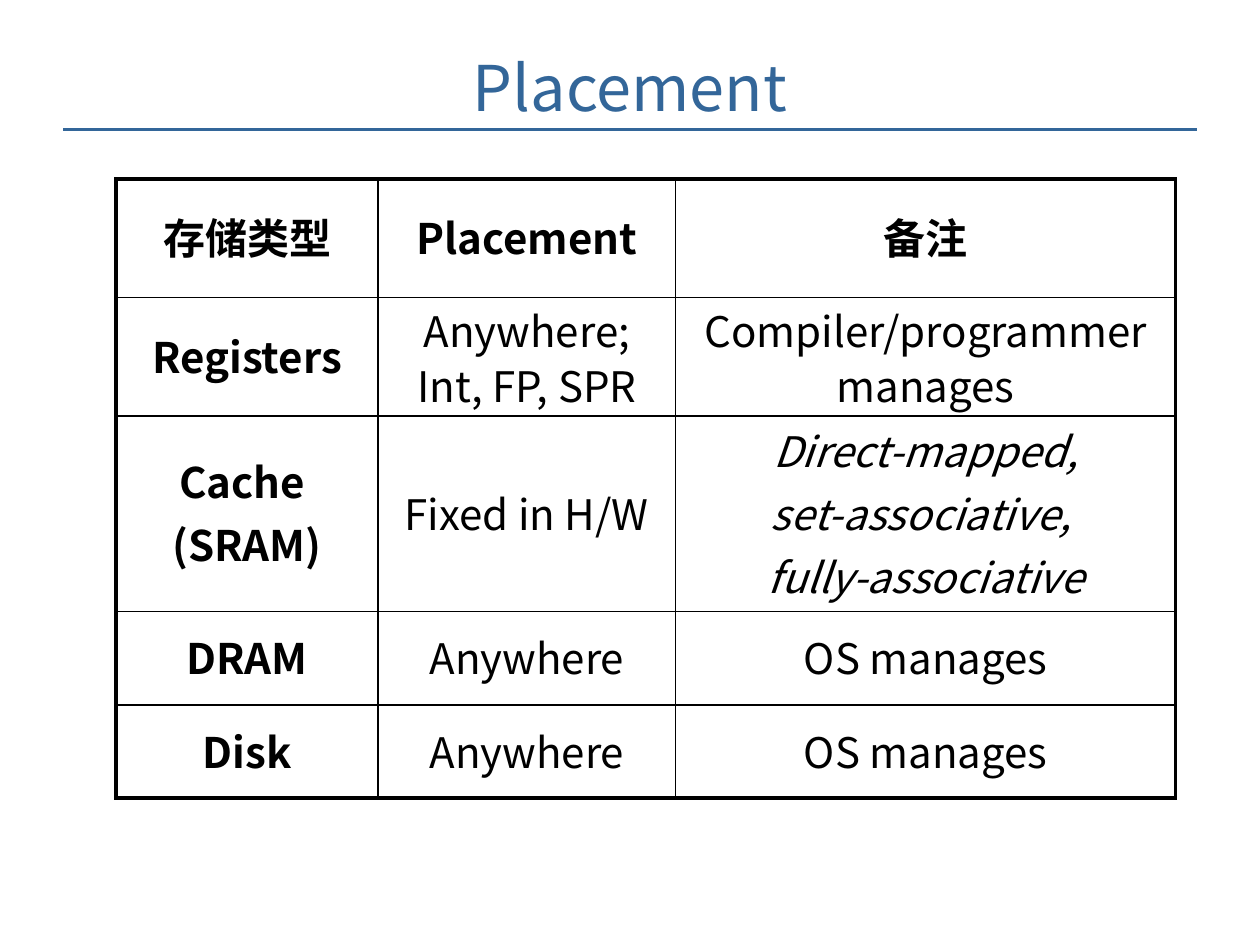
"""Build the Placement slide: a ruled title above a table of storage types."""
from dataclasses import dataclass

import pptx
import pptx.dml.color
import pptx.enum.shapes
import pptx.enum.text
import pptx.oxml
import pptx.oxml.ns
import pptx.util
from pptx.util import Cm

FONT = "Noto Sans CJK SC"
BLUE, BLACK = "336699", "000000"
THIN, THICK = 1, 2.25
COL_WIDTHS = (5.28, 6.0, 10.08)
ROW_HEIGHTS = (2.39, 2.39, 3.94, 1.88, 1.88)


@dataclass
class Storage:
    kind: str
    placement: str
    remark: str
    header: bool = False
    italic_remark: bool = False


ROWS = [
    Storage("存储类型", "Placement", "备注", header=True),
    Storage("Registers", "Anywhere; Int, FP, SPR", "Compiler/programmer manages"),
    Storage("Cache \n(SRAM)", "Fixed in H/W",
            "Direct-mapped,\nset-associative, \nfully-associative", italic_remark=True),
    Storage("DRAM", "Anywhere", "OS manages"),
    Storage("Disk", "Anywhere", "OS manages"),
]


def rgb(value: str) -> pptx.dml.color.RGBColor:
    return pptx.dml.color.RGBColor.from_string(value)


def write(tf, text: str, *, size: float = 24, color: str = BLACK, bold: bool = False,
          italic: bool = False, spacing: float = 0.9, before: float = 4.8) -> None:
    tf.word_wrap = True
    for i, line in enumerate(text.split("\n")):
        p = tf.add_paragraph() if i else tf.paragraphs[0]
        p.alignment = pptx.enum.text.PP_ALIGN.CENTER
        p.line_spacing = spacing
        p.space_before = pptx.util.Pt(before if i else 0)
        r = p.add_run()
        r.text = line
        r.font.name = FONT
        r.font.size = pptx.util.Pt(size)
        r.font.bold, r.font.italic = bold, italic
        r.font.color.rgb = rgb(color)
        ea = pptx.oxml.parse_xml(f'<a:ea {pptx.oxml.ns.nsdecls("a")} typeface="{FONT}"/>')
        r.font._element.find(pptx.oxml.ns.qn("a:latin")).addnext(ea)


def set_borders(cell, left: float, right: float, top: float, bottom: float) -> None:
    tc_pr = cell._tc.get_or_add_tcPr()
    for i, (side, width) in enumerate(zip("LRTB", (left, right, top, bottom))):
        tc_pr.insert(i, pptx.oxml.parse_xml(
            f'<a:ln{side} {pptx.oxml.ns.nsdecls("a")} w="{pptx.util.Pt(width)}">'
            f'<a:solidFill><a:srgbClr val="{BLACK}"/></a:solidFill></a:ln{side}>'))


def add_title(s, text: str) -> None:
    line = s.shapes.add_connector(pptx.enum.shapes.MSO_CONNECTOR.STRAIGHT,
                                  Cm(1.27), Cm(2.61), Cm(24.13), Cm(2.61))
    line.line.color.rgb = rgb(BLUE)
    line.line.width = pptx.util.Pt(2)
    line._element.spPr.append(
        pptx.oxml.parse_xml(f'<a:effectLst {pptx.oxml.ns.nsdecls("a")}/>'))
    sp = s.shapes.add_textbox(Cm(1.27), Cm(0.64), Cm(22.86), Cm(2.21))
    sp.text_frame.vertical_anchor = pptx.enum.text.MSO_ANCHOR.MIDDLE
    write(sp.text_frame, text, size=36, color=BLUE, spacing=1.0)


def add_storage_table(s, rows: list[Storage]) -> None:
    last_row, last_col = len(rows) - 1, len(COL_WIDTHS) - 1
    table = s.shapes.add_table(len(rows), len(COL_WIDTHS), Cm(2.34), Cm(3.61),
                               Cm(sum(COL_WIDTHS)), Cm(sum(ROW_HEIGHTS))).table
    table.first_row = table.horz_banding = False
    for col, width in zip(table.columns, COL_WIDTHS):
        col.width = Cm(width)
    for i, (storage, height) in enumerate(zip(rows, ROW_HEIGHTS)):
        table.rows[i].height = Cm(height)
        for j, text in enumerate((storage.kind, storage.placement, storage.remark)):
            cell = table.cell(i, j)
            cell.vertical_anchor = pptx.enum.text.MSO_ANCHOR.MIDDLE
            cell.fill.background()
            set_borders(cell, left=THIN if j else THICK,
                        right=THICK if j == last_col else THIN,
                        top=THIN if i else THICK,
                        bottom=THICK if i == last_row else THIN)
            write(cell.text_frame, text, bold=storage.header or j == 0,
                  italic=storage.italic_remark and j == last_col)


def main() -> None:
    prs = pptx.Presentation()
    prs.slide_width, prs.slide_height = Cm(25.4), Cm(19.05)
    s = prs.slides.add_slide(prs.slide_layouts[6])
    add_title(s, "Placement")
    add_storage_table(s, ROWS)
    prs.save("out.pptx")


if __name__ == "__main__":
    main()
